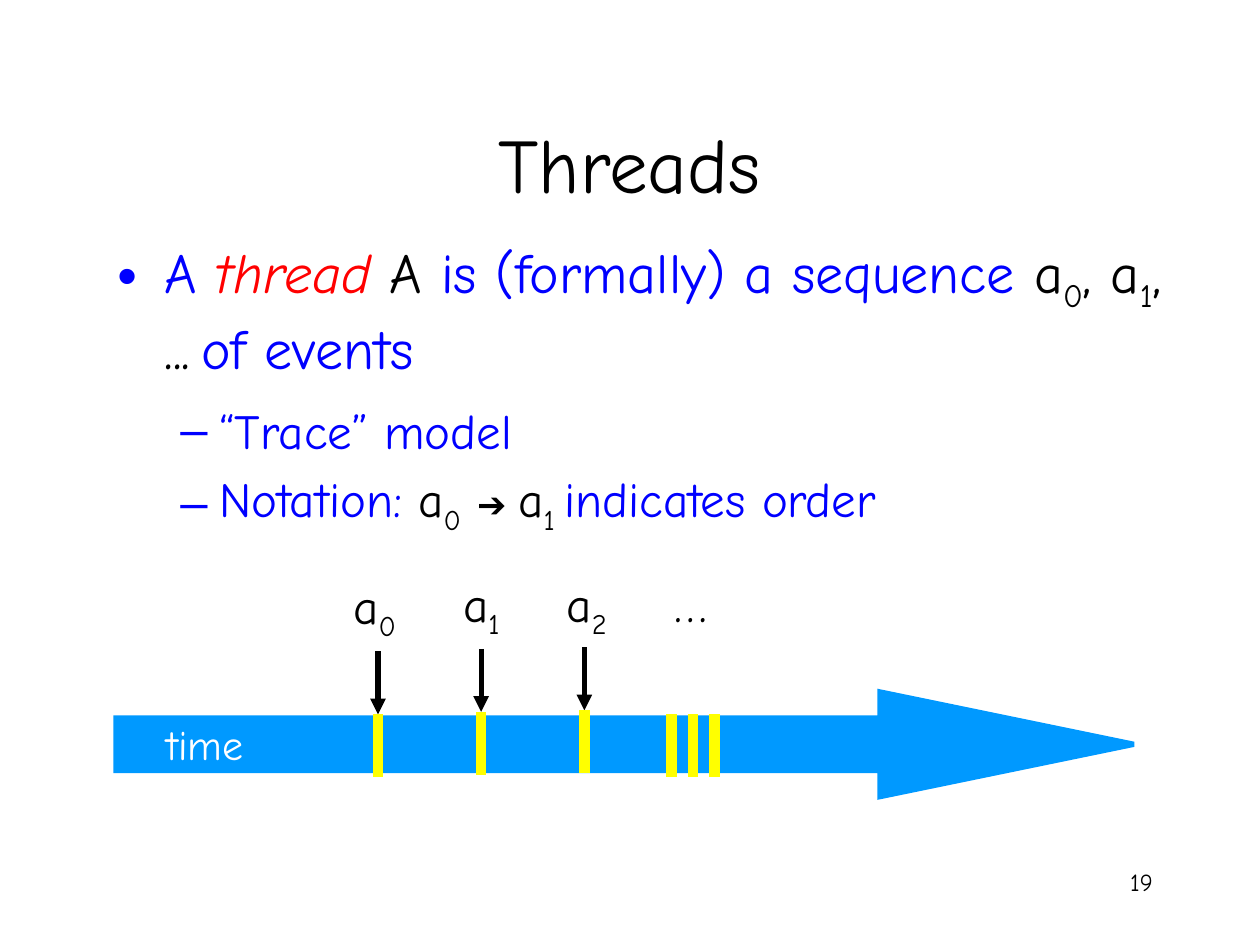
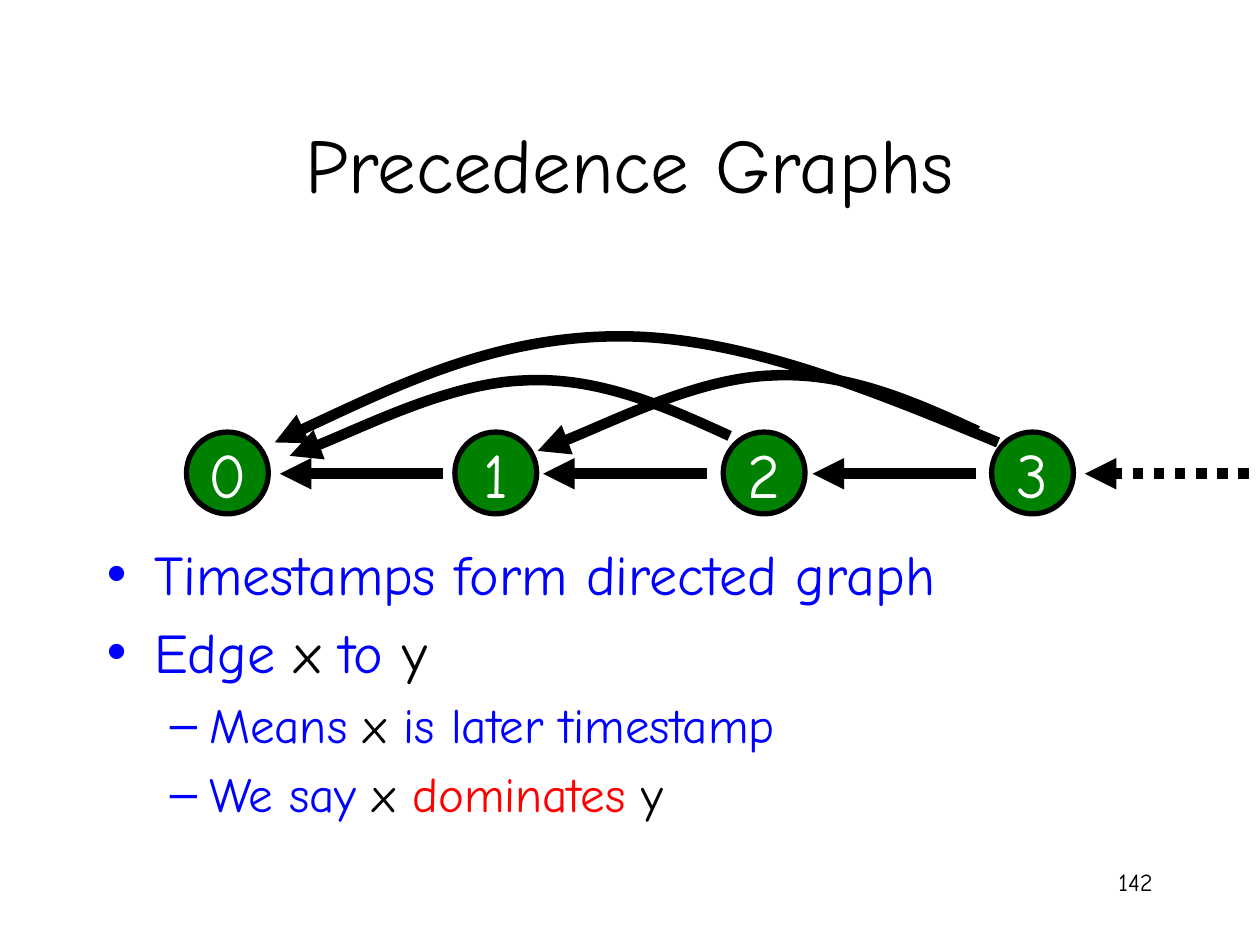
from dataclasses import dataclass

from lxml import etree
from pptx import Presentation
from pptx import util as u
from pptx.dml.color import RGBColor
from pptx.enum import dml, shapes, text
from pptx.oxml import ns

FONT = "Comic Neue"
BLACK, WHITE, BLUE, RED = "000000", "FFFFFF", "0000FF", "FF0000"
SKY, YELLOW, GREEN = "0099FF", "FFFF00", "008000"
ALIGN = text.PP_ALIGN
Point = tuple[float, float]


@dataclass(frozen=True)
class Box:
    left: float
    top: float
    width: float
    height: float

    def emu(self) -> list[int]:
        return [u.Cm(v) for v in (self.left, self.top, self.width, self.height)]


@dataclass(frozen=True)
class Bit:
    text: str
    color: str = BLACK
    size: float = 0
    sub: bool = False
    slant: bool = False


@dataclass(frozen=True)
class Item:
    level: int
    bits: tuple[Bit, ...]


@dataclass(frozen=True)
class Stroke:
    color: str = BLACK
    width: float = 6
    head: bool = True
    dots: bool = False
    sharp: bool = False


@dataclass(frozen=True)
class Mark:
    sign: str
    mid: float
    top: float
    width: float
    stem: float


TITLE = Box(1.9, 1.68, 21.59, 3.18)
NUMBER = Box(18.21, 17.35, 5.28, 1.27)
SIZES = (32, 28)


def paint(color: str) -> RGBColor:
    return RGBColor.from_string(color)


def write(para, bits: tuple[Bit, ...], size: float) -> None:
    for bit in bits:
        run = para.add_run()
        run.text = bit.text
        font = run.font
        font.name, font.size = FONT, u.Pt(bit.size or size)
        font.color.rgb = paint(bit.color)
        if bit.slant:
            font.italic = True
        if bit.sub:
            run._r.get_or_add_rPr().set("baseline", "-25000")


def label(slide, box: Box, bits: tuple[Bit, ...], size: float, wrap: bool = False) -> None:
    frame = slide.shapes.add_textbox(*box.emu()).text_frame
    frame.word_wrap = wrap
    para = frame.paragraphs[0]
    para.alignment = ALIGN.RIGHT
    write(para, bits, size)


def place(holder, box: Box):
    holder.left, holder.top, holder.width, holder.height = box.emu()
    frame = holder.text_frame
    frame.auto_size = text.MSO_AUTO_SIZE.NONE
    return frame


def page(deck, title: str, number: int, area: Box, items: list[Item]):
    slide = deck.slides.add_slide(deck.slide_layouts[1])
    head = place(slide.shapes.title, TITLE)
    head.vertical_anchor = text.MSO_ANCHOR.MIDDLE
    head.paragraphs[0].alignment = ALIGN.CENTER
    write(head.paragraphs[0], (Bit(title),), 44)
    body = place(slide.placeholders[1], area)
    for i, item in enumerate(items):
        para = body.add_paragraph() if i else body.paragraphs[0]
        para.level = item.level
        if not i:
            para.space_before = u.Pt(0)
        write(para, item.bits, SIZES[item.level])
    label(slide, NUMBER, (Bit(str(number)),), 14, True)
    return slide


def trace(shape, stroke: Stroke) -> None:
    line = shape.line
    line.color.rgb = paint(stroke.color)
    line.width = u.Pt(stroke.width)
    if stroke.dots:
        line.dash_style = dml.MSO_LINE.ROUND_DOT
    rule = shape._element.spPr.find(ns.qn("a:ln"))
    if stroke.sharp:
        etree.SubElement(rule, ns.qn("a:miter"), lim="800000")
    if stroke.head:
        etree.SubElement(rule, ns.qn("a:tailEnd"), type="triangle")


def link(slide, start: Point, end: Point, stroke: Stroke) -> None:
    ends = [u.Cm(v) for v in (*start, *end)]
    wire = slide.shapes.add_connector(shapes.MSO_CONNECTOR.STRAIGHT, *ends)
    trace(wire, stroke)
    etree.SubElement(wire._element.spPr, ns.qn("a:effectLst"))


def solid(slide, kind, box: Box, fill: str, stroke: Stroke):
    shape = slide.shapes.add_shape(kind, *box.emu())
    shape.shadow.inherit = False
    shape.fill.solid()
    shape.fill.fore_color.rgb = paint(fill)
    trace(shape, stroke)
    return shape


def bend(curve) -> None:
    legs = list(curve._element.iter(ns.qn("a:lnTo")))
    for i in range(0, len(legs), 3):
        cubic = etree.Element(ns.qn("a:cubicBezTo"))
        legs[i].addprevious(cubic)
        for leg in legs[i:i + 3]:
            cubic.append(leg[0])
            leg.getparent().remove(leg)


def arc(slide, knots: list[Point]) -> None:
    dots = [(u.Cm(x), u.Cm(y)) for x, y in knots]
    pen = slide.shapes.build_freeform(*dots[0])
    pen.add_line_segments(dots[1:], close=False)
    curve = pen.convert_to_shape()
    bend(curve)
    curve.shadow.inherit = False
    curve.fill.background()
    trace(curve, Stroke())


def threads(deck) -> None:
    items = [
        Item(0, (Bit("A ", BLUE), Bit("thread ", RED, slant=True), Bit("A"),
                 Bit(" is (formally) a sequence ", BLUE), Bit("a"), Bit("0", sub=True),
                 Bit(", a"), Bit("1", sub=True), Bit(", ..."), Bit(" ", sub=True),
                 Bit("of events", BLUE))),
        Item(1, (Bit("“Trace” model", BLUE),)),
        Item(1, (Bit("Notation: ", BLUE), Bit("a"), Bit("0", sub=True), Bit(" "),
                 Bit("➔ ", size=20), Bit("a"), Bit("1 ", sub=True),
                 Bit("indicates order", BLUE))),
    ]
    slide = page(deck, "Threads", 19, Box(2.11, 4.66, 21.59, 9.09), items)
    arrow = solid(slide, shapes.MSO_SHAPE.RIGHT_ARROW, Box(2.34, 13.95, 20.52, 2.11), SKY,
                  Stroke(SKY, 3, False, sharp=True))
    arrow.adjustments[0], arrow.adjustments[1] = 0.5, 2.425
    label(slide, Box(2.9, 14.35, 2.26, 1.27), (Bit("time", WHITE),), 24)

    tick = Stroke(YELLOW, 6, False)
    marks = [Mark("0", 7.52, 11.48, 1.42, 13.13), Mark("1", 9.66, 11.43, 1.32, 13.08),
             Mark("2", 11.77, 11.43, 1.42, 13.05)]
    for i, mark in enumerate(marks):
        x, y = 7.62 + 2.08 * i, mark.stem
        link(slide, (x, y), (x, y + 1.27), Stroke(width=3))
        link(slide, (x, y + 1.27), (x, y + 2.54), tick)
        box = Box(mark.mid - mark.width / 2, mark.top, mark.width, 1.45)
        label(slide, box, (Bit("a"), Bit(mark.sign, sub=True)), 28)
    for i in range(3):
        x = 13.54 + 0.43 * i
        link(slide, (x, 14.4), (x, 15.67), tick)
    label(slide, Box(13.34, 11.43, 1.17, 1.45), (Bit("…"),), 28)


def graphs(deck) -> None:
    items = [
        Item(0, (Bit("Timestamps form directed graph", BLUE),)),
        Item(0, (Bit("Edge ", BLUE), Bit("x"), Bit(" to ", BLUE), Bit("y"))),
        Item(1, (Bit("Means ", BLUE), Bit("x"), Bit(" is later timestamp", BLUE))),
        Item(1, (Bit("We say ", BLUE), Bit("x "), Bit("dominates ", RED), Bit("y"))),
    ]
    slide = page(deck, "Precedence Graphs", 142, Box(1.9, 10.74, 21.59, 6.2), items)
    for i in range(4):
        node = solid(slide, shapes.MSO_SHAPE.OVAL, Box(3.76 + 5.41 * i, 8.71, 1.65, 1.65),
                     GREEN, Stroke(BLACK, 3, False))
        frame = node.text_frame
        frame.word_wrap = False
        frame.vertical_anchor = text.MSO_ANCHOR.MIDDLE
        frame.paragraphs[0].alignment = ALIGN.CENTER
        write(frame.paragraphs[0], (Bit(str(i), WHITE),), 36)
    for i, tip in enumerate((5.64, 10.95, 16.38, 21.87)):
        link(slide, (tip + 3.3, 9.55), (tip, 9.55), Stroke(dots=i == 3))

    wide = [(20.12, 8.92), (17.53, 7.85), (14.94, 6.78), (12.5, 6.78),
            (10.06, 6.78), (7.8, 7.85), (5.54, 8.92)]
    near = [(14.71, 8.79), (13.39, 8.18), (12.04, 7.59), (10.57, 7.67),
            (9.09, 7.72), (6.63, 8.94), (5.84, 9.19)]
    for knots in (wide, near, [(x + 5, y - 0.1) for x, y in near]):
        arc(slide, knots)


def main() -> None:
    deck = Presentation()
    deck.slide_width, deck.slide_height = u.Cm(25.4), u.Cm(19.05)
    threads(deck)
    graphs(deck)
    deck.save("out.pptx")


if __name__ == "__main__":
    main()
